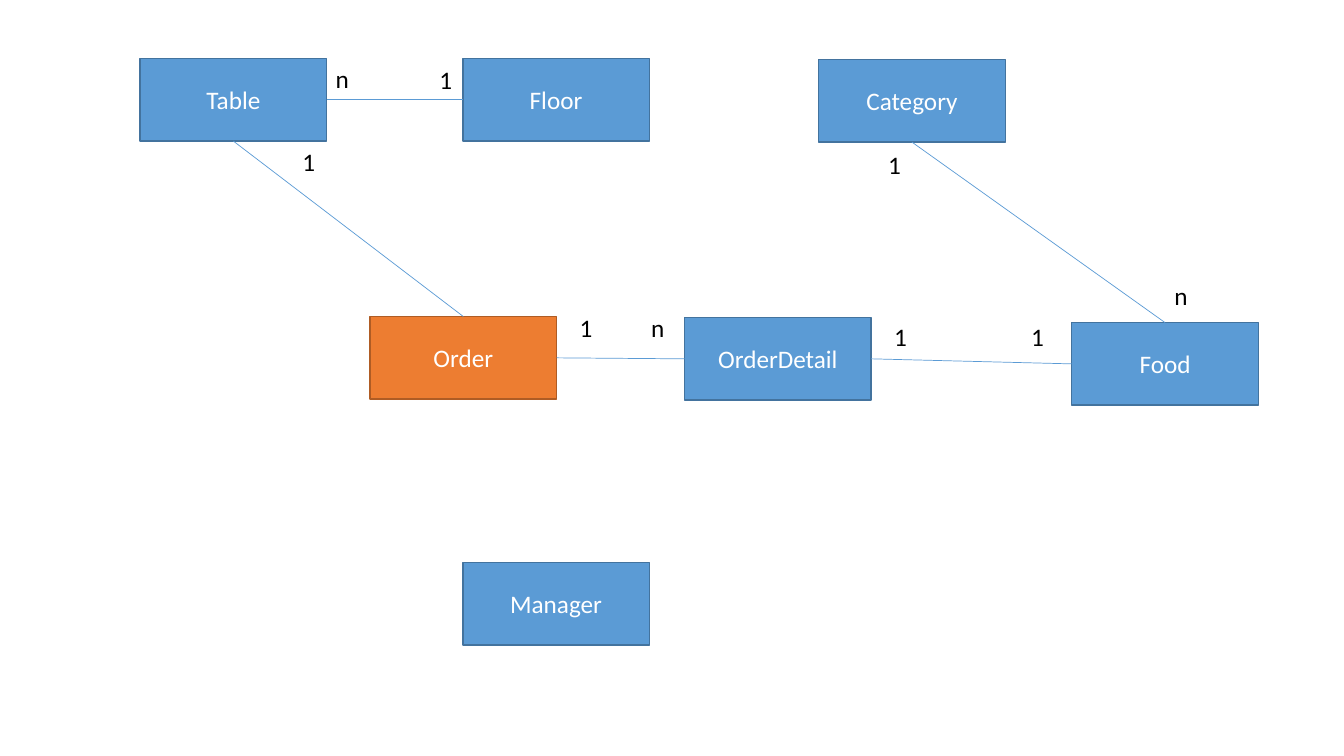
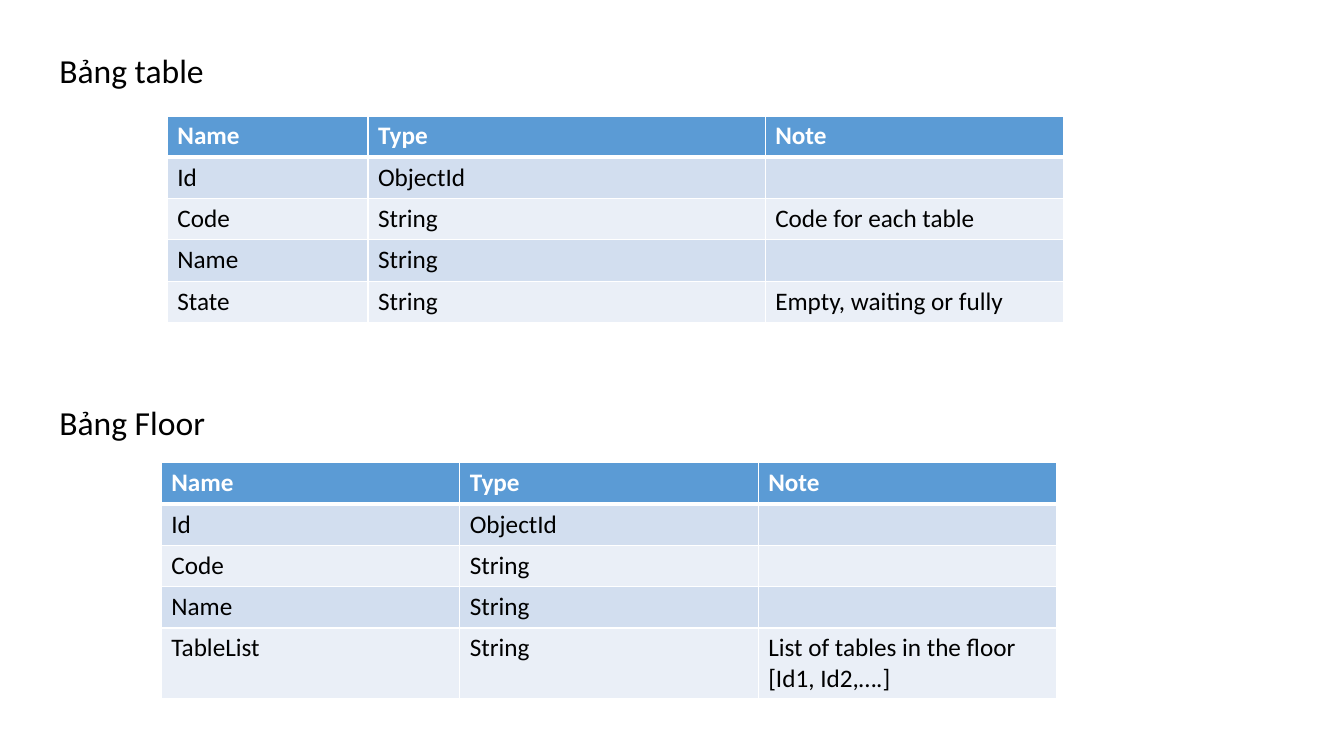
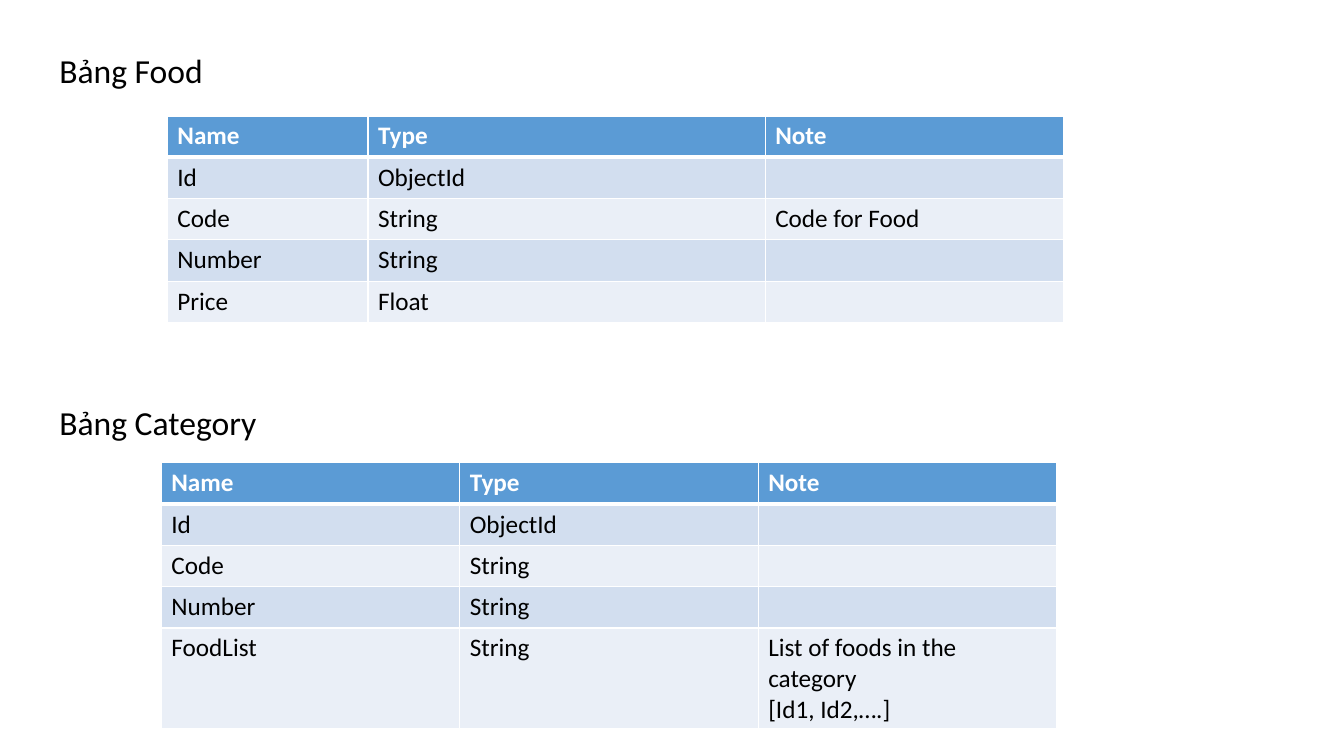
from lxml.etree import SubElement
from pptx import Presentation
from pptx.dml.color import RGBColor
from pptx.enum.shapes import MSO_CONNECTOR, MSO_SHAPE
from pptx.enum.text import MSO_ANCHOR, PP_ALIGN
from pptx.oxml.ns import qn
from pptx.util import Inches, Pt

FONT = "Calibri"
BLUE = RGBColor(0x5B, 0x9B, 0xD5)
DARK_BLUE = RGBColor(0x43, 0x73, 0x9E)
ORANGE = RGBColor(0xED, 0x7D, 0x31)
DARK_ORANGE = RGBColor(0xAF, 0x5C, 0x24)
BAND_DARK = RGBColor(0xD2, 0xDE, 0xEF)
BAND_LIGHT = RGBColor(0xEA, 0xEF, 0xF7)
WHITE = RGBColor(0xFF, 0xFF, 0xFF)
BLACK = RGBColor(0, 0, 0)

TOP, BOTTOM, LEFT, RIGHT = 0, 2, 1, 3  # connection sites of a rectangle
BOX_W, BOX_H = 1.85, 0.82
ROW_H = 0.41

ENTITIES = {  # name: (left, top)
    "Table": (1.39, 0.58),
    "Floor": (4.59, 0.58),
    "Category": (8.12, 0.59),
    "Order": (3.67, 3.14),
    "OrderDetail": (6.79, 3.15),
    "Food": (10.63, 3.2),
    "Manager": (4.59, 5.58),
}
HIGHLIGHTED = "Order"
RELATIONS = [
    ("Table", RIGHT, "Floor", LEFT),
    ("Order", TOP, "Table", BOTTOM),
    ("Category", BOTTOM, "Food", TOP),
    ("Order", RIGHT, "OrderDetail", LEFT),
    ("OrderDetail", RIGHT, "Food", LEFT),
]
CARDINALITIES = [
    ("n", 3.23, 0.58), ("1", 4.26, 0.59), ("1", 2.9, 1.4),
    ("1", 8.71, 1.43), ("n", 11.55, 2.73),
    ("1", 5.65, 3.05), ("n", 6.36, 3.05),
    ("1", 8.77, 3.14), ("1", 10.13, 3.14),
]

HEADER = ("Name", "Type", "Note")
# Upper and lower place on a schema slide
PLACES = [
    {"title_top": 0.45, "left": 1.66, "top": 1.15, "cols": (1.99, 3.94, 2.96)},
    {"title_top": 3.94, "left": 1.6, "top": 4.59, "cols": (2.96, 2.96, 2.96)},
]
SCHEMA_SLIDES = [
    [
        ("Bảng table", [
            ("Id", "ObjectId", ""),
            ("Code", "String", "Code for each table"),
            ("Name", "String", ""),
            ("State", "String", "Empty, waiting or fully"),
        ]),
        ("Bảng Floor", [
            ("Id", "ObjectId", ""),
            ("Code", "String", ""),
            ("Name", "String", ""),
            ("TableList", "String", "List of tables in the floor\n[Id1, Id2,….]"),
        ]),
    ],
    [
        ("Bảng Food", [
            ("Id", "ObjectId", ""),
            ("Code", "String", "Code for Food"),
            ("Number", "String", ""),
            ("Price", "Float", ""),
        ]),
        ("Bảng Category", [
            ("Id", "ObjectId", ""),
            ("Code", "String", ""),
            ("Number", "String", ""),
            ("FoodList", "String", "List of foods in the category\n[Id1, Id2,….]"),
        ]),
    ],
]


def write(tf, text, color, size=18, bold=False, align=PP_ALIGN.LEFT):
    """Fill a text frame, one paragraph per line of text."""
    for i, line in enumerate(text.split("\n")):
        p = tf.paragraphs[0] if i == 0 else tf.add_paragraph()
        p.alignment = align
        p.font.size = Pt(size)
        if line:
            r = p.add_run()
            r.text = line
            r.font.name, r.font.size, r.font.bold = FONT, Pt(size), bold
            r.font.color.rgb = color


def add_text(slide, text, left, top, width, height, size=18, wrap=False):
    sp = slide.shapes.add_textbox(*map(Inches, (left, top, width, height)))
    sp.text_frame.word_wrap = wrap
    write(sp.text_frame, text, BLACK, size)


def add_entity(slide, name, left, top):
    sp = slide.shapes.add_shape(
        MSO_SHAPE.RECTANGLE, *map(Inches, (left, top, BOX_W, BOX_H)))
    fill, line = (ORANGE, DARK_ORANGE) if name == HIGHLIGHTED else (BLUE, DARK_BLUE)
    sp.shadow.inherit = False
    sp.fill.solid()
    sp.fill.fore_color.rgb = fill
    sp.line.color.rgb = line
    sp.line.width = Pt(1)
    sp.text_frame.vertical_anchor = MSO_ANCHOR.MIDDLE
    write(sp.text_frame, name, WHITE, align=PP_ALIGN.CENTER)
    return sp


def add_relation(slide, start, start_site, end, end_site):
    line = slide.shapes.add_connector(MSO_CONNECTOR.STRAIGHT, 0, 0, 0, 0)
    line.begin_connect(start, start_site)
    line.end_connect(end, end_site)
    line.line.color.rgb = BLUE
    line.line.width = Pt(0.5)
    SubElement(line._element.spPr, qn("a:effectLst"))


def set_borders(cell, **widths):
    """Draw white borders; widths in points are keyed L, R, T, B."""
    tc_pr = cell._tc.get_or_add_tcPr()
    for side in "LRTB":
        ln = SubElement(tc_pr, qn(f"a:ln{side}"), w=str(Pt(widths.get(side, 1))))
        fill = SubElement(ln, qn("a:solidFill"))
        SubElement(fill, qn("a:srgbClr"), val=str(WHITE))


def add_schema(slide, rows, left, top, cols):
    rows = [HEADER, *rows]
    table = slide.shapes.add_table(
        len(rows), len(cols),
        *map(Inches, (left, top, sum(cols), ROW_H * len(rows)))).table
    table.horz_banding = False
    for column, width in zip(table.columns, cols):
        column.width = Inches(width)
    for i, row in enumerate(rows):
        table.rows[i].height = Inches(ROW_H)
        is_header = i == 0
        fill = BLUE if is_header else BAND_DARK if i % 2 else BAND_LIGHT
        for j, text in enumerate(row):
            cell = table.cell(i, j)
            set_borders(cell, B=3 if is_header else 1, T=3 if i == 1 else 1)
            cell.fill.solid()
            cell.fill.fore_color.rgb = fill
            write(cell.text_frame, text, WHITE if is_header else BLACK, bold=is_header)


def main():
    prs = Presentation()
    prs.slide_width, prs.slide_height = Inches(13.33), Inches(7.5)
    blank = prs.slide_layouts[6]

    slide = prs.slides.add_slide(blank)
    boxes = {name: add_entity(slide, name, *at) for name, at in ENTITIES.items()}
    for start, start_site, end, end_site in RELATIONS:
        add_relation(slide, boxes[start], start_site, boxes[end], end_site)
    for text, left, top in CARDINALITIES:
        add_text(slide, text, left, top, 0.33, 0.4)

    for schemas in SCHEMA_SLIDES:
        slide = prs.slides.add_slide(blank)
        for (title, rows), place in zip(schemas, PLACES):
            add_text(slide, title, 0.49, place["title_top"], 12.3, 0.5, size=24, wrap=True)
            add_schema(slide, rows, place["left"], place["top"], place["cols"])

    prs.save("out.pptx")


if __name__ == "__main__":
    main()
